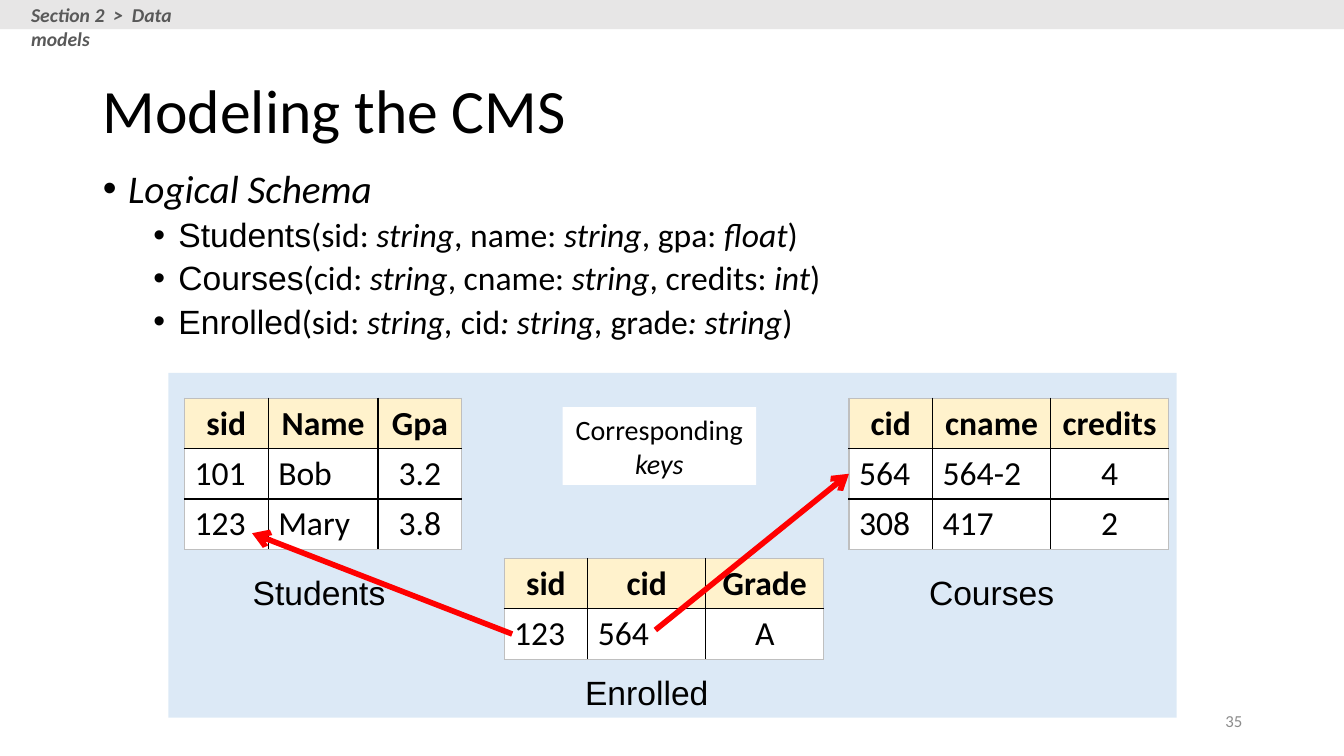
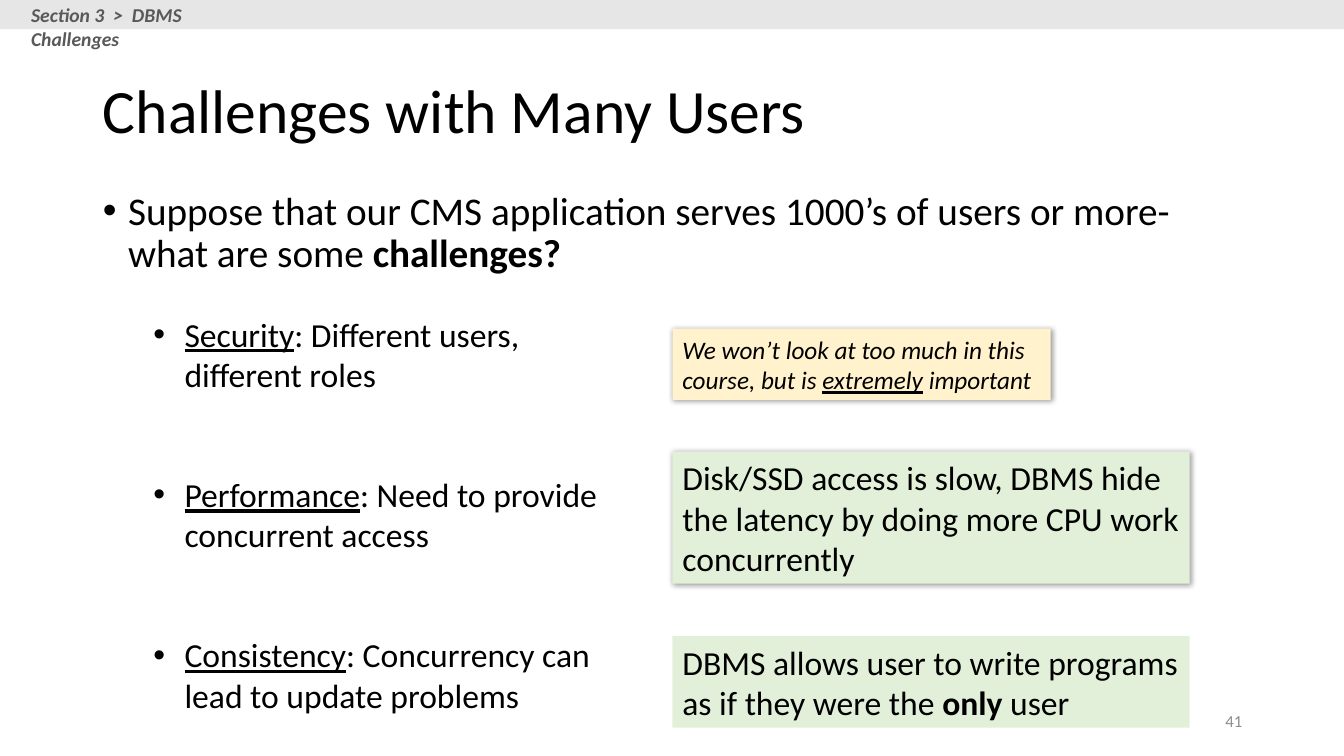
from dataclasses import dataclass
from typing import Optional

from lxml import etree
from pptx import Presentation
from pptx.dml.color import RGBColor
from pptx.enum.shapes import MSO_CONNECTOR, MSO_SHAPE
from pptx.enum.text import MSO_ANCHOR, MSO_AUTO_SIZE, PP_ALIGN
from pptx.oxml.ns import qn
from pptx.util import Inches, Pt

LEFT, CENTER, RIGHT = PP_ALIGN.LEFT, PP_ALIGN.CENTER, PP_ALIGN.RIGHT
MIDDLE, TOP = MSO_ANCHOR.MIDDLE, MSO_ANCHOR.TOP
NO_AUTOFIT = MSO_AUTO_SIZE.NONE
RECTANGLE, STRAIGHT = MSO_SHAPE.RECTANGLE, MSO_CONNECTOR.STRAIGHT

COLORS = {
    "text": "000000", "breadcrumb": "595959", "number": "8C8C8C",
    "band": "E7E6E6", "panel": "5B9BD5", "white": "FFFFFF",
    "cream": "FFF2CC", "green": "E2F0D9", "key": "FF0000",
    "grid": "000000", "frame": "BFBFBF", "shadow": "000000",
}
BODY_FONT, NAME_FONT = "Calibri", "Arial"
SLIDE_WIDTH, SLIDE_HEIGHT = 13.33, 7.5
ROW_HEIGHT = 0.5
TITLE_AND_BODY, TWO_BODIES = 1, 3

Box = tuple[float, float, float, float]
Point = tuple[float, float]


@dataclass(frozen=True)
class Run:
    text: str
    bold: Optional[bool] = None
    italic: Optional[bool] = None
    underline: Optional[bool] = None
    font: Optional[str] = None


@dataclass(frozen=True)
class Style:
    size: float = 24
    font: str = BODY_FONT
    color: str = "text"
    bold: bool = False
    italic: bool = False
    align: PP_ALIGN = LEFT


@dataclass(frozen=True)
class Bullet:
    level: int
    margin: float
    hang: float
    before: float
    spacing: float


@dataclass(frozen=True)
class Relation:
    name: str
    left: float
    top: float
    columns: tuple[float, ...]
    rows: tuple[tuple[str, ...], ...]
    label: Point


@dataclass(frozen=True)
class Note:
    box: Box
    fill: str
    lines: tuple[tuple[Run, ...], ...]
    style: Style = Style()
    shadow: bool = False


MAIN_BULLET = Bullet(0, 0.25, 0.25, 10, 0.9)
SCHEMA_BULLET = Bullet(1, 0.75, 0.25, 5, 0.9)
FIRST_CHALLENGE = Bullet(1, 0.81, 0.31, 0, 1)
NEXT_CHALLENGE = Bullet(1, 0.81, 0.31, 57, 1)

SCHEMA = (
    (Run("Students", font=NAME_FONT), Run("(sid: "), Run("string", italic=True),
     Run(", name: "), Run("string", italic=True), Run(", gpa: "),
     Run("float", italic=True), Run(")")),
    (Run("Courses", font=NAME_FONT), Run("(cid: "), Run("string", italic=True),
     Run(", cname: "), Run("string", italic=True), Run(", credits: "),
     Run("int", italic=True), Run(")")),
    (Run("Enrolled", font=NAME_FONT), Run("(sid: "), Run("string, ", italic=True),
     Run("cid"), Run(": string, ", italic=True), Run("grade"),
     Run(": string", italic=True), Run(")")),
)
RELATIONS = (
    Relation("Students", 1.83, 3.95, (0.83, 1.09, 0.83),
             (("sid", "Name", "Gpa"), ("101", "Bob", "3.2"), ("123", "Mary", "3.8")),
             (2.25, 5.62)),
    Relation("Courses", 8.42, 3.95, (0.83, 1.17, 1.17),
             (("cid", "cname", "credits"), ("564", "564-2", "4"), ("308", "417", "2")),
             (8.92, 5.62)),
    Relation("Enrolled", 5, 5.54, (0.83, 1.17, 1.17),
             (("sid", "cid", "Grade"), ("123", "564", "A")),
             (5.5, 6.62)),
)
KEY_ARROWS = (((5.08, 6.29), (2.5, 5.29)), ((6.5, 6.25), (8.42, 4.7)))
KEYS_NOTE = Note((5.58, 4.04, 1.92, 0.77), "white",
                 ((Run("Corresponding "), Run("keys", italic=True)),),
                 Style(20, align=CENTER))
CHALLENGES = (
    ("Security", ": Different users, different roles"),
    ("Performance", ": Need to provide concurrent access"),
    ("Consistency", ": Concurrency can lead to update problems"),
)
CHALLENGE_NOTES = (
    Note((6.67, 3.26, 3.75, 0.71), "cream",
         ((Run("We won’t look at too much in this course, but is "),
           Run("extremely", underline=True), Run(" important")),),
         Style(18, italic=True), shadow=True),
    Note((6.67, 4.48, 5.13, 1.31), "green",
         ((Run("Disk/SSD access is slow, DBMS hide the latency "
               "by doing more CPU work concurrently"),),), shadow=True),
    Note((6.67, 6.31, 5.13, 0.91), "green",
         ((Run("DBMS allows user to write programs"),),
          (Run("as if they were the "), Run("only ", bold=True), Run("user")))),
)


def rgb(name: str) -> RGBColor:
    return RGBColor.from_string(COLORS[name])


def inches(values) -> list[Inches]:
    return [Inches(value) for value in values]


def place(shape, box: Box) -> None:
    shape.left, shape.top, shape.width, shape.height = inches(box)


def write(paragraph, runs: tuple[Run, ...], style: Style) -> None:
    """Style the paragraph, then let single runs depart from it."""
    paragraph.alignment = style.align
    font = paragraph.font
    font.size, font.name = Pt(style.size), style.font
    font.bold, font.italic = style.bold, style.italic
    font.color.rgb = rgb(style.color)
    for part in runs:
        run = paragraph.add_run()
        run.text = part.text
        run.font.bold, run.font.italic = part.bold, part.italic
        run.font.underline, run.font.name = part.underline, part.font


def write_bullet(paragraph, runs: tuple[Run, ...], style: Style, bullet: Bullet) -> None:
    paragraph.level = bullet.level
    paragraph.line_spacing = bullet.spacing
    paragraph.space_before = Pt(bullet.before)
    properties = paragraph._p.get_or_add_pPr()
    properties.set("marL", str(Inches(bullet.margin)))
    properties.set("indent", str(-Inches(bullet.hang)))
    etree.SubElement(properties, qn("a:buChar"), char="•")
    write(paragraph, runs, style)


def next_paragraph(frame):
    """Return the untouched first paragraph, or a new one."""
    first = frame.paragraphs[0]
    return frame.add_paragraph() if first.runs else first


def prepare_body(slide, index: int, box: Box):
    body = slide.placeholders[index]
    place(body, box)
    frame = body.text_frame
    frame.auto_size, frame.vertical_anchor = NO_AUTOFIT, TOP
    return frame


def add_label(slide, box: Box, text: str, style: Style, anchor=TOP) -> None:
    frame = slide.shapes.add_textbox(*inches(box)).text_frame
    frame.word_wrap, frame.vertical_anchor = True, anchor
    write(frame.paragraphs[0], (Run(text),), style)


def add_rectangle(slide, box: Box, fill: str):
    shape = slide.shapes.add_shape(RECTANGLE, *inches(box))
    shape.shadow.inherit = False
    shape.fill.solid()
    shape.fill.fore_color.rgb = rgb(fill)
    shape.line.fill.background()
    return shape


def add_panel(slide, box: Box, opacity: int) -> None:
    panel = add_rectangle(slide, box, "panel")
    color = panel.element.spPr.find(qn("a:solidFill"))[0]
    etree.SubElement(color, qn("a:alpha"), val=str(opacity * 1000))


def add_note(slide, note: Note) -> None:
    shape = add_rectangle(slide, note.box, note.fill)
    if note.shadow:
        effects = shape.element.spPr.find(qn("a:effectLst"))
        shadow = etree.SubElement(effects, qn("a:outerShdw"), blurRad=str(Pt(4)),
                                  dist=str(Pt(1)), dir="2700000", algn="tl")
        color = etree.SubElement(shadow, qn("a:srgbClr"), val=COLORS["shadow"])
        etree.SubElement(color, qn("a:alpha"), val="40000")
    for line in note.lines:
        write(next_paragraph(shape.text_frame), line, note.style)


def add_cell_borders(cell, edges: dict[str, str]) -> None:
    """Put border lines ahead of the cell's fill, as the schema orders them."""
    properties = cell._tc.get_or_add_tcPr()
    for position, (side, color) in enumerate(edges.items()):
        line = etree.Element(qn(f"a:ln{side}"), w=str(Pt(1)))
        fill = etree.SubElement(line, qn("a:solidFill"))
        etree.SubElement(fill, qn("a:srgbClr"), val=COLORS[color])
        properties.insert(position, line)


def add_relation(slide, relation: Relation) -> None:
    row_count, column_count = len(relation.rows), len(relation.columns)
    box = (relation.left, relation.top, sum(relation.columns), row_count * ROW_HEIGHT)
    table = slide.shapes.add_table(row_count, column_count, *inches(box)).table
    table.horz_banding = False
    for column, width in zip(table.columns, relation.columns):
        column.width = Inches(width)
    for r, values in enumerate(relation.rows):
        for c, value in enumerate(values):
            cell = table.cell(r, c)
            header, last = r == 0, c == column_count - 1
            cell.fill.solid()
            cell.fill.fore_color.rgb = rgb("cream" if header else "white")
            outer = {"L": c == 0, "R": last, "T": header, "B": r == row_count - 1}
            add_cell_borders(cell, {side: "frame" if is_outer else "grid"
                                    for side, is_outer in outer.items()})
            write(cell.text_frame.paragraphs[0], (Run(value),),
                  Style(bold=header, align=CENTER if header or last else LEFT))
    add_label(slide, (*relation.label, 1.83, 0.5), relation.name,
              Style(font=NAME_FONT, align=CENTER))


def add_key_arrow(slide, start: Point, end: Point) -> None:
    arrow = slide.shapes.add_connector(STRAIGHT, *inches(start + end))
    arrow.line.color.rgb, arrow.line.width = rgb("key"), Pt(4)
    properties = arrow.element.spPr
    etree.SubElement(properties.find(qn("a:ln")), qn("a:tailEnd"), type="arrow")
    etree.SubElement(properties, qn("a:effectLst"))


def add_base_slide(deck, layout: int, title: str, breadcrumb: str,
                   breadcrumb_width: float, number: int):
    """Add a slide with the title, top band and page number all slides share."""
    slide = deck.slides.add_slide(deck.slide_layouts[layout])
    heading = slide.shapes.title
    place(heading, (0.92, 0.4, 11.5, 1.45))
    heading.text_frame.vertical_anchor = MIDDLE
    paragraph = heading.text_frame.paragraphs[0]
    paragraph.line_spacing = 0.9
    write(paragraph, (Run(title),), Style(44))
    add_rectangle(slide, (0, 0, SLIDE_WIDTH, 0.29), "band")
    add_label(slide, (0.21, -0.02, breadcrumb_width, 0.34), breadcrumb,
              Style(14, color="breadcrumb", bold=True, italic=True))
    add_label(slide, (9.42, 6.95, 3, 0.4), str(number),
              Style(12, color="number", align=RIGHT), MIDDLE)
    return slide


def build_schema_slide(deck) -> None:
    slide = add_base_slide(deck, TITLE_AND_BODY, "Modeling the CMS",
                           "Section 2  >  Data models", 2.18, 35)
    frame = prepare_body(slide, 1, (0.92, 1.63, 9, 2))
    write_bullet(next_paragraph(frame), (Run("Logical Schema"),),
                 Style(28, italic=True), MAIN_BULLET)
    for signature in SCHEMA:
        write_bullet(next_paragraph(frame), signature, Style(), SCHEMA_BULLET)
    add_panel(slide, (1.67, 3.7, 10, 3.42), 21)
    for relation in RELATIONS:
        add_relation(slide, relation)
    for start, end in KEY_ARROWS:
        add_key_arrow(slide, start, end)
    add_note(slide, KEYS_NOTE)


def build_challenges_slide(deck) -> None:
    slide = add_base_slide(deck, TWO_BODIES, "Challenges with Many Users",
                           "Section 3  >  DBMS Challenges", 2.57, 41)
    question = prepare_body(slide, 1, (0.92, 1.85, 11.5, 1.16))
    write_bullet(next_paragraph(question),
                 (Run("Suppose that our CMS application serves 1000’s of users "
                      "or more- what are some "), Run("challenges?", bold=True)),
                 Style(28), MAIN_BULLET)
    answers = prepare_body(slide, 2, (0.92, 3.06, 5.53, 4.14))
    for i, (topic, detail) in enumerate(CHALLENGES):
        write_bullet(next_paragraph(answers), (Run(topic, underline=True), Run(detail)),
                     Style(), NEXT_CHALLENGE if i else FIRST_CHALLENGE)
    for note in CHALLENGE_NOTES:
        add_note(slide, note)


def main() -> None:
    deck = Presentation()
    deck.slide_width, deck.slide_height = inches((SLIDE_WIDTH, SLIDE_HEIGHT))
    build_schema_slide(deck)
    build_challenges_slide(deck)
    deck.save("out.pptx")


if __name__ == "__main__":
    main()
